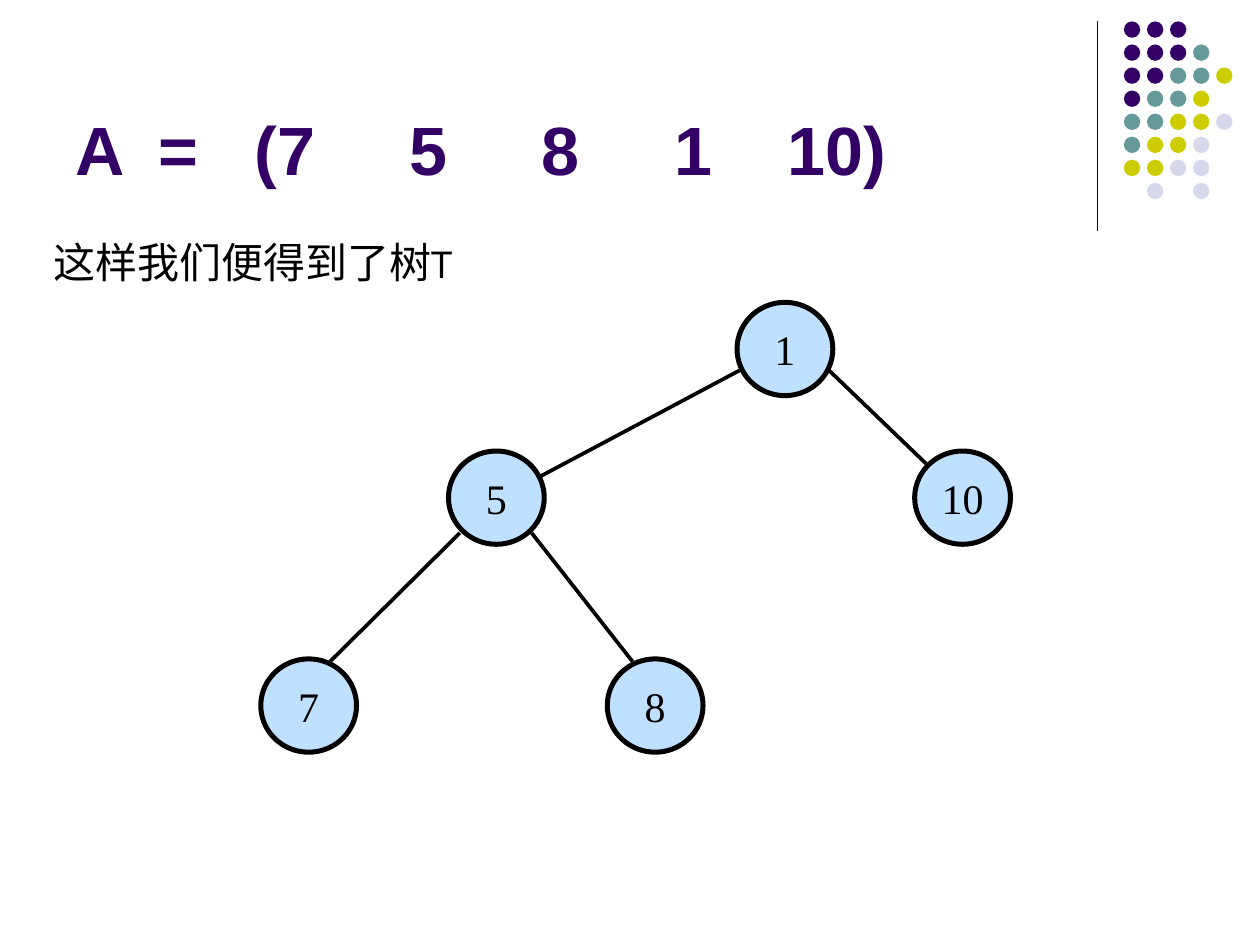
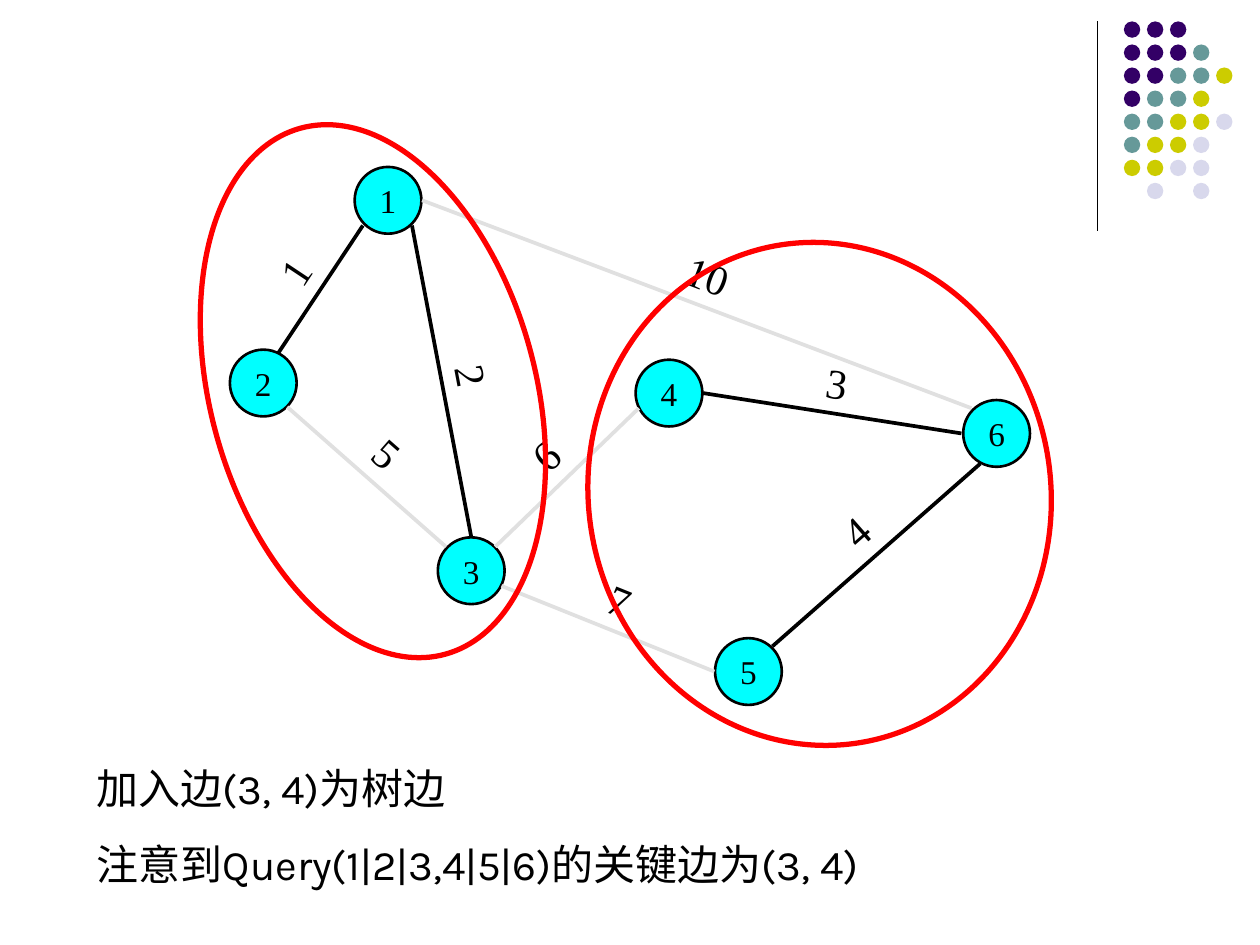
from math import atan2, degrees, hypot

from lxml.etree import SubElement
from pptx import Presentation
from pptx.dml.color import RGBColor
from pptx.enum.shapes import MSO_CONNECTOR as Link, MSO_SHAPE as Shape
from pptx.enum.text import MSO_ANCHOR as Anchor, MSO_AUTO_SIZE as Fit, PP_ALIGN as Align
from pptx.oxml.ns import qn
from pptx.util import Inches, Pt

BLACK = RGBColor(0x00, 0x00, 0x00)
PURPLE = RGBColor(0x33, 0x00, 0x66)
TEAL = RGBColor(0x66, 0x99, 0x99)
OLIVE = RGBColor(0xCC, 0xCC, 0x00)
LILAC = RGBColor(0xD8, 0xD8, 0xEC)
SKY = RGBColor(0xC0, 0xE0, 0xFF)
CYAN = RGBColor(0x00, 0xFF, 0xFF)
GREY = RGBColor(0xE0, 0xE0, 0xE0)
RED = RGBColor(0xFF, 0x00, 0x00)
HEAD, BODY, SERIF = "Arial", "Karla", "Times New Roman"

# Corner dots: one letter a dot, one string a row
DOTS = ["PPP", "PPPT", "PPTTY", "PTTY", "TTYYL", "TYYL", "YYLL", " L L"]
HUES = {"P": PURPLE, "T": TEAL, "Y": OLIVE, "L": LILAC}

TITLE = ["A", "=", "(7", "5", "8", "1", "10)"]
STOPS = [0.66, 1.42] + [2.65 + 1.05 * i for i in range(3)] + [5.65]
TREE_TEXT = ["这样我们便得到了树T"]
GRAPH_TEXT = ["加入边(3, 4)为树边", "注意到Query(1|2|3,4|5|6)的关键边为(3, 4)"]

# Nodes: label, centre x, centre y
TREE = [("1", 6.23, 2.77), ("10", 7.64, 3.95), ("5", 3.94, 3.95),
        ("7", 2.45, 5.6), ("8", 5.2, 5.6)]
GRAPH = [("1", 3.08, 1.59), ("2", 2.09, 3.04), ("3", 3.74, 4.53),
         ("4", 5.31, 3.12), ("5", 5.94, 5.33), ("6", 7.91, 3.44)]

# Edges: weight, start, end, colour
BRANCHES = [("", (4.29, 3.78), (5.87, 2.94), BLACK),
            ("", (6.58, 2.94), (7.35, 3.68), BLACK),
            ("", (2.62, 5.25), (3.65, 4.23), BLACK),
            ("", (4.22, 4.23), (5.02, 5.25), BLACK)]
EDGES = [("1", (2.21, 2.8), (2.88, 1.79), BLACK),
         ("5", (2.28, 3.23), (3.54, 4.34), GREY),
         ("2", (3.27, 1.79), (3.74, 4.26), BLACK),
         ("6", (3.93, 4.34), (5.07, 3.24), GREY),
         ("7", (3.98, 4.65), (5.67, 5.33), GREY),
         ("3", (5.58, 3.12), (7.63, 3.44), BLACK),
         ("4", (6.13, 5.13), (7.78, 3.68), BLACK),
         ("10", (3.35, 1.59), (7.71, 3.24), GREY)]

# Rings: box, turn in degrees
RINGS = [((1.67, 0.94, 2.58, 4.33), -15.4), ((4.67, 1.92, 3.67, 4), -8.9)]


def style(para, face, size, hue, bold=False):
    for run in para.runs:
        font = run.font
        font.name, font.size, font.bold = face, Pt(size), bold
        font.color.rgb = hue


def clear(frame):
    frame.margin_left = frame.margin_right = 0
    frame.margin_top = frame.margin_bottom = 0
    frame.word_wrap = False


def oval(slide, box, fill=None, line=None, width=0):
    shape = slide.shapes.add_shape(Shape.OVAL, *map(Inches, box))
    shape.shadow.inherit = False
    if fill is None:
        shape.fill.background()
    else:
        shape.fill.solid()
        shape.fill.fore_color.rgb = fill
    if line is None:
        shape.line.fill.background()
    else:
        shape.line.color.rgb = line
        shape.line.width = Pt(width)
    return shape


def rule(slide, start, end, hue, width):
    line = slide.shapes.add_connector(Link.STRAIGHT, *map(Inches, start + end))
    line.line.color.rgb = hue
    line.line.width = Pt(width)
    SubElement(line.element.spPr, qn("a:effectLst"))


def corner(slide):
    """Draw the upright line and the dot pattern at top right."""
    rule(slide, (8.71, 0.17), (8.71, 1.83), BLACK, 0.75)
    step = 0.183
    for row, keys in enumerate(DOTS):
        for col, key in enumerate(keys):
            if key in HUES:
                oval(slide, (8.92 + col * step, 0.17 + row * step, 0.13, 0.13), HUES[key])


def middle(shape, text, size):
    frame = shape.text_frame
    frame.text = text
    clear(frame)
    frame.vertical_anchor = Anchor.MIDDLE
    para = frame.paragraphs[0]
    para.alignment = Align.CENTER
    style(para, SERIF, size, BLACK)


def nodes(slide, items, wide, high, fill, line, size):
    for text, x, y in items:
        box = (x - wide / 2, y - high / 2, wide, high)
        middle(oval(slide, box, fill, BLACK, line), text, size)


def edges(slide, items):
    """Draw each edge, with its weight turned along it and set just above."""
    gap, high = 0.25, 0.4
    for text, start, end, hue in items:
        rule(slide, start, end, hue, 2.13)
        if not text:
            continue
        (x1, y1), (x2, y2) = start, end
        dx, dy = x2 - x1, y2 - y1
        size = hypot(dx, dy)
        x = (x1 + x2) / 2 + gap * dy / size
        y = (y1 + y2) / 2 - gap * dx / size
        wide = 0.17 * len(text)
        box = (x - wide / 2, y - high / 2, wide, high)
        label = slide.shapes.add_textbox(*map(Inches, box))
        label.rotation = degrees(atan2(dy, dx))
        middle(label, text, 24)


def notes(slide, box, lines):
    frame = slide.shapes.add_textbox(*map(Inches, box)).text_frame
    frame.word_wrap = True
    frame.text = "\n".join(lines)
    for para in frame.paragraphs:
        para.space_before = Pt(15)
        style(para, BODY, 24, BLACK)


def title(slide):
    shape = slide.shapes.title
    shape.left, shape.top, shape.width, shape.height = map(Inches, (0.5, 0.13, 8.25, 1.42))
    frame = shape.text_frame
    frame.text = "\t".join(TITLE)
    frame.auto_size = Fit.NONE
    frame.vertical_anchor = Anchor.BOTTOM
    para = frame.paragraphs[0]
    para.alignment = Align.LEFT
    tabs = SubElement(para._p.get_or_add_pPr(), qn("a:tabLst"))
    for stop in STOPS:
        SubElement(tabs, qn("a:tab"), pos=str(Inches(stop)), algn="l")
    style(para, HEAD, 39, PURPLE, True)


def main():
    deck = Presentation()
    deck.slide_width, deck.slide_height = Inches(10), Inches(7.5)
    heap, graph = [deck.slides.add_slide(deck.slide_layouts[i]) for i in (5, 6)]
    for slide in (heap, graph):
        corner(slide)

    title(heap)
    nodes(heap, TREE, 0.76, 0.74, SKY, 2.86, 24)
    edges(heap, BRANCHES)
    notes(heap, (0.33, 1.83, 4.58, 0.5), TREE_TEXT)

    nodes(graph, GRAPH, 0.53, 0.53, CYAN, 1.5, 19)
    edges(graph, EDGES)
    for box, turn in RINGS:
        oval(graph, box, line=RED, width=3).rotation = turn
    notes(graph, (0.67, 6, 8.75, 1.11), GRAPH_TEXT)
    deck.save("out.pptx")


if __name__ == "__main__":
    main()
